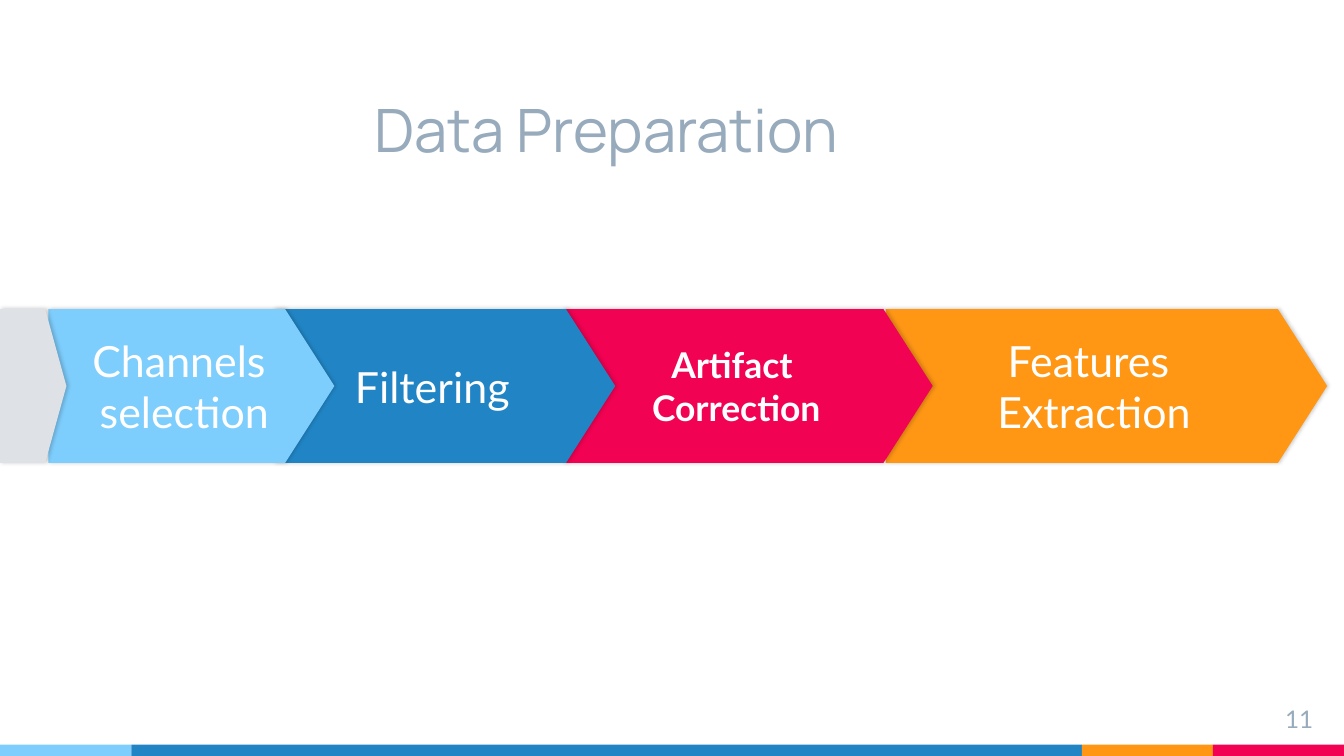
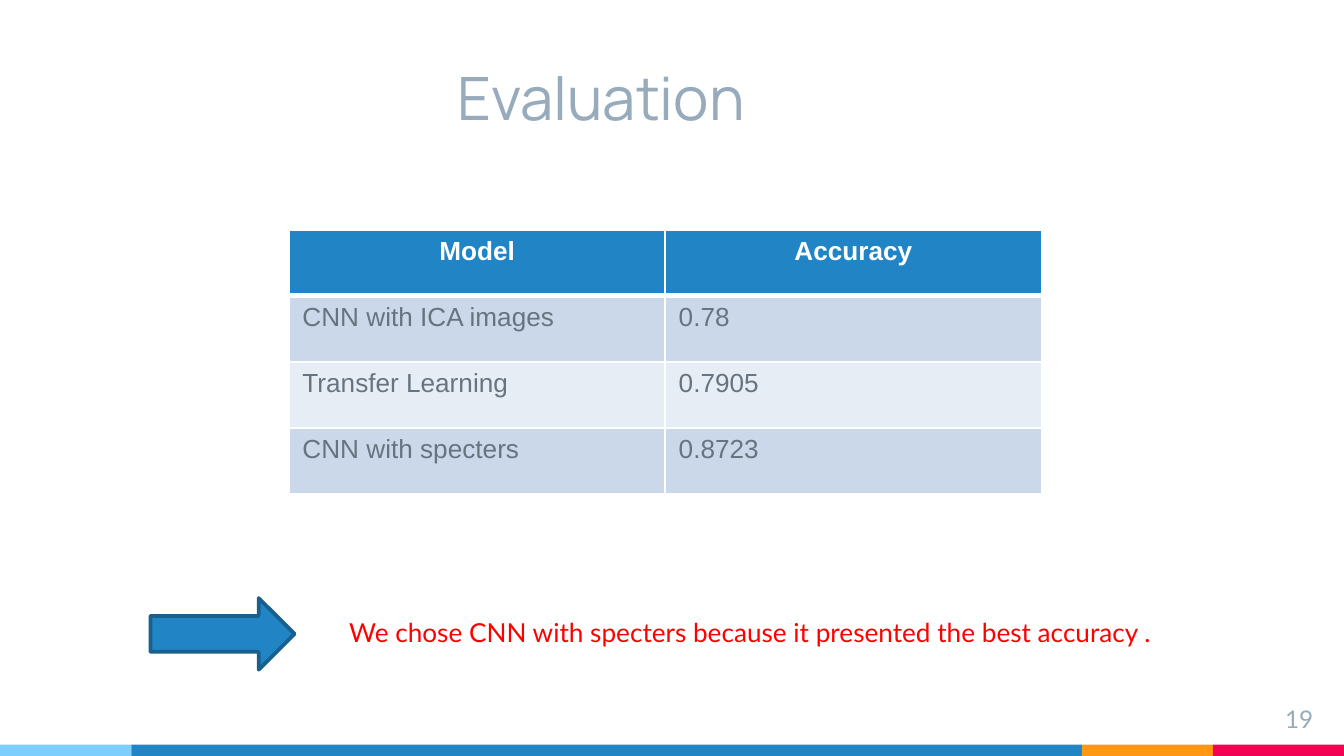
from lxml.etree import SubElement
from pptx import Presentation
from pptx.dml.color import RGBColor
from pptx.enum.shapes import MSO_SHAPE
from pptx.enum.text import MSO_ANCHOR, MSO_AUTO_SIZE, PP_ALIGN
from pptx.oxml import parse_xml
from pptx.oxml.ns import nsdecls, qn
from pptx.util import Pt

SKY, BLUE, ORANGE, PINK = "7ECEFD", "2185C5", "FF9715", "F20253"
WHITE, GREY, SLATE = "FFFFFF", "DEE2E6", "97ABBC"
LEFT, CENTER, RIGHT = PP_ALIGN.LEFT, PP_ALIGN.CENTER, PP_ALIGN.RIGHT


def color(target, value):
    """Give a fill, or the color of a font or line, a hex value."""
    if hasattr(target, "solid"):
        target.solid()
        target = target.fore_color
    target.rgb = RGBColor.from_string(value)


def write(frame, text, font, size, value, align=LEFT, bold=False, inset=7.2):
    frame.text = text
    frame.word_wrap = True
    frame.margin_left = frame.margin_right = Pt(inset)
    frame.margin_top = frame.margin_bottom = Pt(inset)
    for para in frame.paragraphs:
        para.alignment = align
        for span in para.runs:
            span.font.name = font
            span.font.size = Pt(size)
            span.font.bold = bold
            color(span.font.color, value)


deck = Presentation()
deck.slide_width, deck.slide_height = Pt(720), Pt(405)

# Shared parts: title, page number and color band
pages = []
for title_text, left, top, number in [
    ("Data Preparation", 70.4, 28, "11"),
    ("Evaluation", 67.6, 10.8, "19"),
]:
    page = deck.slides.add_slide(deck.slide_layouts[5])
    pages.append(page)

    title = page.shapes.title
    title.left, title.top, title.width, title.height = Pt(left), Pt(top), Pt(509.2), Pt(67.5)
    write(title.text_frame, title_text, "Manrope", 32, SLATE, CENTER)
    title.text_frame.vertical_anchor = MSO_ANCHOR.BOTTOM
    title.text_frame.auto_size = MSO_AUTO_SIZE.NONE

    number_box = page.shapes.add_textbox(Pt(667.4), Pt(370), Pt(43.2), Pt(24.5))
    write(number_box.text_frame, number, "Lato", 13, SLATE, RIGHT)

    band_left = 0
    for width, fill in [(70.4, SKY), (509.2, BLUE), (70.2, ORANGE), (70.2, PINK)]:
        band = page.shapes.add_shape(
            MSO_SHAPE.RECTANGLE, Pt(band_left), Pt(399), Pt(width), Pt(6))
        band.shadow.inherit = False
        color(band.fill, fill)
        band.line.fill.background()
        band_left += width

preparation, evaluation = pages

# Process steps, from the last to the first so that each tip overlaps the next
for left, width, fill, text, size, bold in [
    (474.5, 236.5, ORANGE, "Features \nExtraction", 23, False),
    (302.4, 197.3, PINK, "Artifact \nCorrection", 19, True),
    (146.9, 182.7, BLUE, "Filtering", 23, False),
    (25.9, 153.2, SKY, "Channels\n selection", 23, False),
    (0, 35.6, GREY, "", 23, False),
]:
    step = preparation.shapes.add_shape(
        MSO_SHAPE.PENTAGON, Pt(left), Pt(165.6), Pt(width), Pt(82.4))
    step.adjustments[0] = 0.32
    color(step.fill, fill)
    step.line.fill.background()
    write(step.text_frame, text, "Lato", size, WHITE, CENTER, bold, inset=0)
    step.text_frame.vertical_anchor = MSO_ANCHOR.MIDDLE
    # Soft shadow to the right
    step.shadow.inherit = False
    effects = step.element.spPr.find(qn("a:effectLst"))
    effects.append(parse_xml(
        f'<a:outerShdw {nsdecls("a")} blurRad="{Pt(2.2)}" dist="{Pt(0.8)}" dir="0" '
        'algn="ctr" rotWithShape="0"><a:srgbClr val="000000">'
        '<a:alpha val="20000"/></a:srgbClr></a:outerShdw>'))

# Accuracy table
results = [
    ("Model", "Accuracy"),
    ("CNN with ICA images", "0.78"),
    ("Transfer Learning", "0.7905"),
    ("CNN with specters", "0.8723"),
]
table = evaluation.shapes.add_table(
    len(results), 2, Pt(154.8), Pt(123.1), Pt(403.2), Pt(141.6)).table
for column in table.columns:
    column.width = Pt(201.6)
for row_index, values in enumerate(results):
    table.rows[row_index].height = Pt(35.4)
    header = row_index == 0
    fill = BLUE if header else ("E7EDF5", "CBD8EA")[row_index % 2]
    for column_index, text in enumerate(values):
        cell = table.cell(row_index, column_index)
        write(cell.text_frame, text, "Arial", 14, WHITE if header else "677480",
              CENTER if header else LEFT, header)
        cell.margin_left = cell.margin_right = Pt(7.2)
        cell.margin_top = cell.margin_bottom = Pt(3.6)
        # White borders, thicker below the header; they come before the fill
        properties = cell._tc.get_or_add_tcPr()
        for side in ("L", "R", "T", "B"):
            thick = (row_index, side) in [(0, "B"), (1, "T")]
            border = SubElement(properties, qn(f"a:ln{side}"), w=str(Pt(3 if thick else 1)))
            SubElement(SubElement(border, qn("a:solidFill")), qn("a:srgbClr"), val=WHITE)
        color(cell.fill, fill)

# Conclusion
arrow = evaluation.shapes.add_shape(
    MSO_SHAPE.RIGHT_ARROW, Pt(80.6), Pt(320.4), Pt(77.2), Pt(38.4))
arrow.shadow.inherit = False
color(arrow.fill, BLUE)
color(arrow.line.color, "18618F")
arrow.line.width = Pt(2)

conclusion = evaluation.shapes.add_textbox(Pt(180), Pt(323.3), Pt(587.5), Pt(31.7))
write(conclusion.text_frame,
      "We chose CNN with specters because it presented the best accuracy .",
      "Lato", 14, "FF0000")
conclusion.text_frame.auto_size = MSO_AUTO_SIZE.SHAPE_TO_FIT_TEXT

deck.save("out.pptx")
